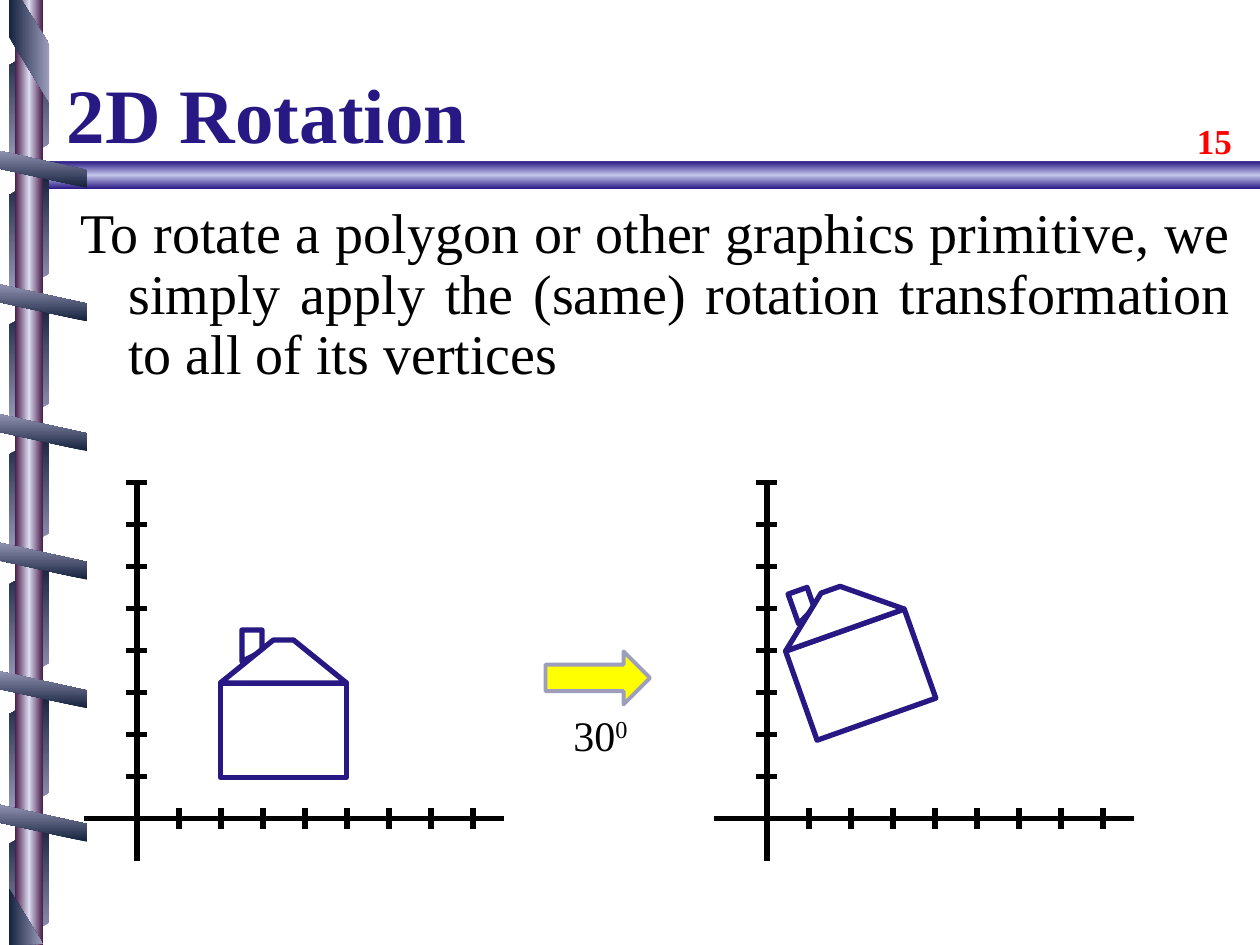
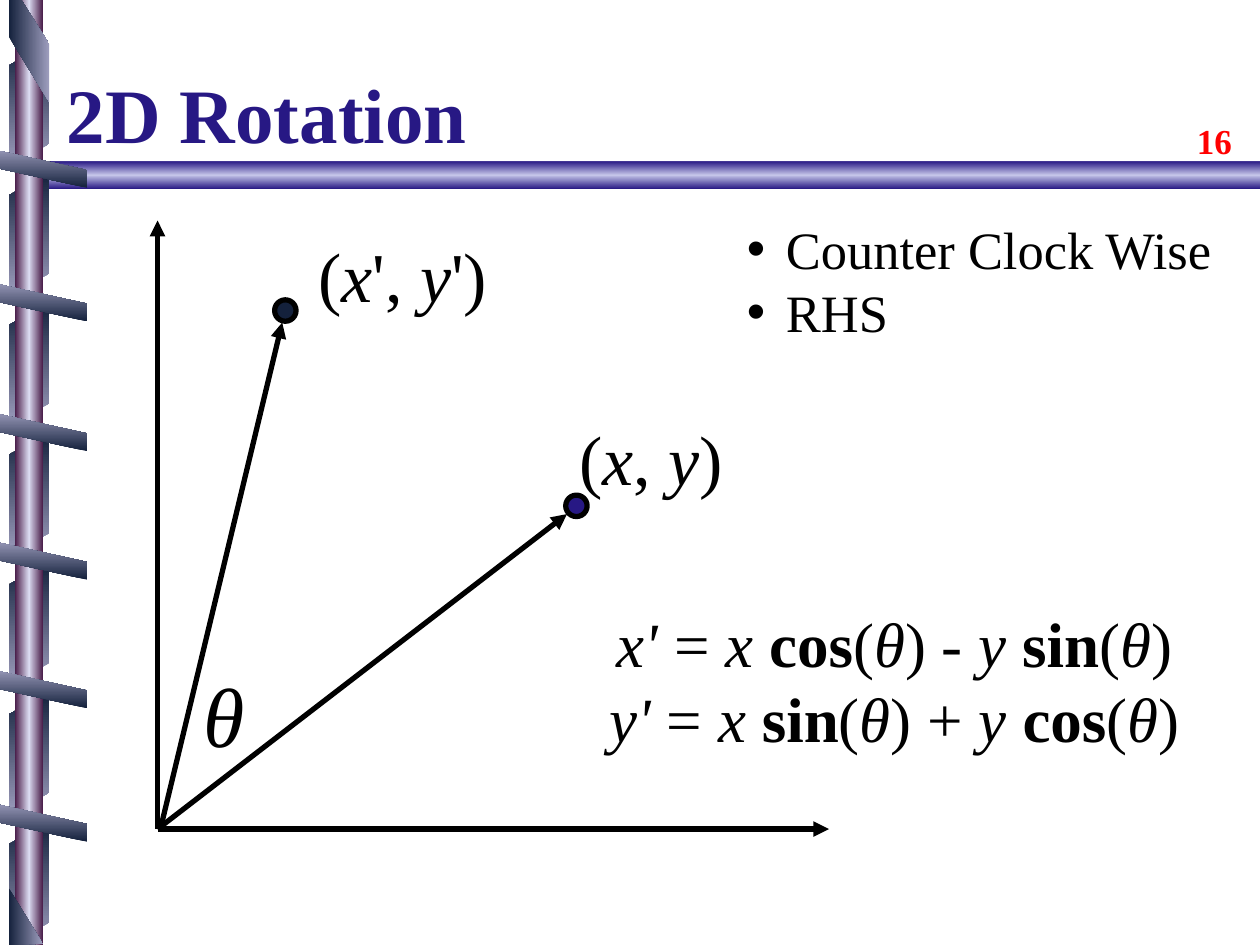
import dataclasses
import math

import lxml.etree
import pptx
import pptx.dml.color
import pptx.enum.shapes
import pptx.enum.text
import pptx.oxml
import pptx.oxml.ns
import pptx.util

Inches = pptx.util.Inches
Pt = pptx.util.Pt
Shape = pptx.enum.shapes.MSO_SHAPE
Align = pptx.enum.text.PP_ALIGN
Anchor = pptx.enum.text.MSO_ANCHOR
qn = pptx.oxml.ns.qn
DRAWING = pptx.oxml.ns.nsdecls("a")


@dataclasses.dataclass(frozen=True)
class Theme:
    font: str = "Times New Roman"
    ink: str = "000000"
    paper: str = "FFFFFF"
    violet: str = "271884"
    lilac: str = "C5C5E9"
    mist: str = "DBDBF1"
    plum: str = "491D49"
    navy: str = "14213C"
    steel: str = "9D9DBD"
    shadow: str = "808080"
    yellow: str = "FFFF00"
    red: str = "FF0000"
    title_size: int = 44
    number_size: int = 20
    body_size: int = 32
    list_size: int = 30
    formula_size: int = 36
    point_size: int = 40
    theta_size: int = 48
    angle_size: int = 24
    stroke: float = 3


THEME = Theme()
ITALIC = {"italic": True}
BOLD = {"bold": True}


def assign(target, values):
    for name, value in values.items():
        setattr(target, name, value)


def rgb(colour):
    return pptx.dml.color.RGBColor.from_string(colour)


def paint(shape, fill, line=None, width=THEME.stroke):
    shape.shadow.inherit = False
    shape.fill.solid()
    shape.fill.fore_color.rgb = rgb(fill)
    if line:
        shape.line.color.rgb = rgb(line)
        shape.line.width = Pt(width)
    else:
        shape.line.fill.background()
    return shape


def shade(shape, colours, angle=0, radial=False):
    paint(shape, colours[0])
    step = 100000 // (len(colours) - 1)
    stops = "".join(
        f'<a:gs pos="{index * step}"><a:srgbClr val="{colour}"/></a:gs>'
        for index, colour in enumerate(colours)
    )
    course = f'<a:lin ang="{angle * 60000}" scaled="0"/>'
    if radial:
        course = '<a:path path="circle"><a:fillToRect l="50000" t="50000" r="50000" b="50000"/></a:path>'
    gradient = pptx.oxml.parse_xml(
        f'<a:gradFill {DRAWING} rotWithShape="1"><a:gsLst>{stops}</a:gsLst>{course}</a:gradFill>'
    )
    properties = shape._element.spPr
    properties.replace(properties.find(qn("a:solidFill")), gradient)
    return shape


def add_preset(page, kind, box, adjust=None, turn=0, flip=False):
    shape = page.shapes.add_shape(kind, *map(Inches, box))
    if adjust is not None:
        shape.adjustments[0] = adjust
    shape.rotation = turn
    if flip:
        shape._element.spPr.xfrm.set("flipH", "1")
    return shape


def add_outline(page, points):
    points = [(Inches(x), Inches(y)) for x, y in points]
    builder = page.shapes.build_freeform(*points[0], scale=1.0)
    builder.add_line_segments(points[1:], close=True)
    return builder.convert_to_shape()


def add_line(page, start, end, arrow=False):
    line = page.shapes.add_connector(
        pptx.enum.shapes.MSO_CONNECTOR.STRAIGHT, *map(Inches, start + end)
    )
    line.line.color.rgb = rgb(THEME.ink)
    line.line.width = Pt(THEME.stroke)
    properties = line._element.spPr
    if arrow:
        lxml.etree.SubElement(properties.find(qn("a:ln")), qn("a:tailEnd"), type="triangle")
    lxml.etree.SubElement(properties, qn("a:effectLst"))


def add_text(page, box, paragraphs, size, colour=THEME.ink, anchor=Anchor.TOP,
             wrap=True, **layout):
    frame = page.shapes.add_textbox(*map(Inches, box)).text_frame
    assign(frame, {"word_wrap": wrap, "vertical_anchor": anchor})
    for index, spans in enumerate(paragraphs):
        para = frame.add_paragraph() if index else frame.paragraphs[0]
        assign(para, layout)
        for text, style in spans:
            span = para.add_run()
            span.text = text
            span.font.color.rgb = rgb(colour)
            assign(span.font, {"name": THEME.font, "size": Pt(size), **style})
    return frame


def indent(para, left, hang, bullet=None):
    properties = para._p.get_or_add_pPr()
    properties.set("marL", str(Inches(left)))
    properties.set("indent", str(Inches(-hang)))
    if bullet:
        lxml.etree.SubElement(properties, qn("a:buFont"), typeface="Arial")
        lxml.etree.SubElement(properties, qn("a:buChar"), char=bullet)


def cast_shadow(span):
    effect = pptx.oxml.parse_xml(
        f'<a:effectLst {DRAWING}><a:outerShdw dist="25400" dir="2700000">'
        f'<a:srgbClr val="{THEME.shadow}"/></a:outerShdw></a:effectLst>'
    )
    span.font._element.find(qn("a:solidFill")).addnext(effect)


def add_ribbon(page):
    for index in range(7):
        back = add_preset(page, Shape.PARALLELOGRAM, (-0.26, 0.67 + 1.03 * index, 0.98, 0.32),
                          0.56, 90, True)
        shade(back, [THEME.steel, THEME.navy])
    pole = add_preset(page, Shape.RECTANGLE, (0.12, 0, 0.22, 7.5))
    shade(pole, [THEME.plum, THEME.mist, THEME.plum])
    for middle in (1.33, 2.39, 3.42, 4.44, 5.46, 6.52):
        front = add_preset(page, Shape.PARALLELOGRAM, (0.12, middle - 0.41, 0.32, 0.82), 0.56, 270)
        shade(front, [THEME.navy, THEME.steel])
    ends = (
        [(0.07, 0), (0.07, 0.29), (0.39, 0.81), (0.39, 0.35), (0.17, 0)],
        [(0.34, 7.49), (0.07, 7.05), (0.07, 7.5)],
    )
    for points in ends:
        shade(add_outline(page, points), [THEME.navy, THEME.steel])


def add_page(deck, title, number):
    page = deck.slides.add_slide(deck.slide_layouts[6])
    bar = add_preset(page, Shape.PENTAGON, (0.19, 1.28, 9.81, 0.22), 0.768, flip=True)
    shade(bar, [THEME.violet, THEME.lilac, THEME.violet], 90)
    knob = add_preset(page, Shape.OVAL, (0.14, 1.27, 0.24, 0.22))
    shade(knob, [THEME.paper, THEME.mist], radial=True)
    add_ribbon(page)
    add_text(page, (9.4, 0.9, 0.52, 0.43), [[(str(number), BOLD)]], THEME.number_size, THEME.red)
    add_text(page, (0.43, 0.14, 8.14, 1.17), [[(title, BOLD)]], THEME.title_size,
             THEME.violet, Anchor.BOTTOM)
    return page


def add_axes(page, left, top):
    unit, half = 1 / 3, 1 / 12
    x, y = left + 5 * half, top + 8 * unit
    add_line(page, (x, top), (x, top + 3))
    add_line(page, (left, y), (left + 10 * unit, y))
    for tick in range(1, 9):
        across, up = x + tick * unit, y - tick * unit
        add_line(page, (across, y - half), (across, y + half))
        add_line(page, (x - half, up), (x + half, up))


def add_house(page, centre_x, centre_y, degrees=0):
    def place(points):
        return [(centre_x + x, centre_y + y) for x, y in points]

    parts = [
        add_outline(page, place([(-0.33, -0.54), (-0.33, -0.79), (-0.17, -0.79), (-0.17, -0.62)])),
        add_preset(page, Shape.RECTANGLE, (centre_x - 0.5, centre_y - 0.37, 1, 0.75)),
        add_outline(page, place([(-0.5, -0.37), (-0.08, -0.71), (0.08, -0.71), (0.5, -0.37)])),
    ]
    cosine, sine = math.cos(math.radians(degrees)), math.sin(math.radians(degrees))
    for part in parts:
        paint(part, THEME.paper, THEME.violet)
        x = part.left + part.width / 2 - Inches(centre_x)
        y = part.top + part.height / 2 - Inches(centre_y)
        assign(part, {
            "left": round(part.left + x * cosine - y * sine - x),
            "top": round(part.top + x * sine + y * cosine - y),
            "rotation": degrees,
        })


def build_house_page(deck):
    page = add_page(deck, "2D Rotation", 15)
    statement = ("To rotate a polygon or other graphics primitive, we simply apply the (same) "
                 "rotation transformation to all of its vertices")
    frame = add_text(page, (0.54, 1.58, 9.33, 1.85), [[(statement, {})]], THEME.body_size,
                     alignment=Align.JUSTIFY, line_spacing=0.9)
    indent(frame.paragraphs[0], 0.38, 0.38)
    cast_shadow(frame.paragraphs[0].runs[0])
    add_axes(page, 0.67, 3.83)
    add_house(page, 2.25, 5.79)
    add_axes(page, 5.67, 3.83)
    arrow = add_preset(page, Shape.RIGHT_ARROW, (4.33, 5.17, 0.83, 0.42))
    paint(arrow, THEME.yellow, THEME.steel, 2.25)
    frame = add_text(page, (4.44, 5.58, 0.65, 0.5), [[("30", {}), ("0", {})]], THEME.angle_size,
                     anchor=Anchor.MIDDLE, wrap=False, alignment=Align.CENTER)
    frame.paragraphs[0].runs[1].font._element.set("baseline", "30000")
    add_house(page, 6.83, 5.35, -19.5)


def add_vectors(page, left, top):
    base = top + 4.83
    for x, y, colour in ((left + 0.93, top + 0.63, THEME.navy), (left + 3.24, top + 2.18, THEME.violet)):
        paint(add_preset(page, Shape.OVAL, (x, y, 0.17, 0.17)), colour, THEME.ink)
    add_line(page, (left, base), (left, top), True)
    add_line(page, (left, base), (left + 5.33, base), True)
    add_line(page, (left, base), (left + 3.25, top + 2.33), True)
    add_line(page, (left + 0.03, base - 0.03), (left + 0.99, top + 0.81), True)
    label = {"anchor": Anchor.MIDDLE, "wrap": False}
    add_text(page, (left + 0.25, top + 3.47, 0.55, 0.9), [[("θ", ITALIC)]], THEME.theta_size,
             alignment=Align.CENTER, **label)
    for x, y, width, prime in ((3.25, 1.5, 1.35, ""), (1.18, 0.04, 1.56, "'")):
        spans = [("(", {}), ("x", ITALIC), (prime + ", ", {}), ("y", ITALIC), (prime + ")", {})]
        add_text(page, (left + x, top + y, width, 0.77), [spans], THEME.point_size, **label)


def formula(result, first, sign, second):
    angle = [("(", {}), ("θ", ITALIC)]
    return [(result, ITALIC), (" = ", {}), ("x ", ITALIC), (first, BOLD), *angle,
            (f") {sign} ", {}), ("y ", ITALIC), (second, BOLD), *angle, (")", {})]


def build_formula_page(deck):
    page = add_page(deck, "2D Rotation", 16)
    add_vectors(page, 1.25, 1.75)
    formulas = [formula("x'", "cos", "-", "sin"), formula("y'", "sin", "+", "cos")]
    add_text(page, (4.7, 4.74, 4.8, 1.31), formulas, THEME.formula_size,
             anchor=Anchor.MIDDLE, alignment=Align.CENTER)
    points = [[("Counter Clock Wise", {})], [("RHS", {})]]
    frame = add_text(page, (5.33, 1.67, 4.57, 1.11), points, THEME.list_size)
    for para in frame.paragraphs:
        indent(para, 0.81, 0.31, "•")


def main():
    deck = pptx.Presentation()
    assign(deck, {"slide_width": Inches(10), "slide_height": Inches(7.5)})
    build_house_page(deck)
    build_formula_page(deck)
    deck.save("out.pptx")


if __name__ == "__main__":
    main()
